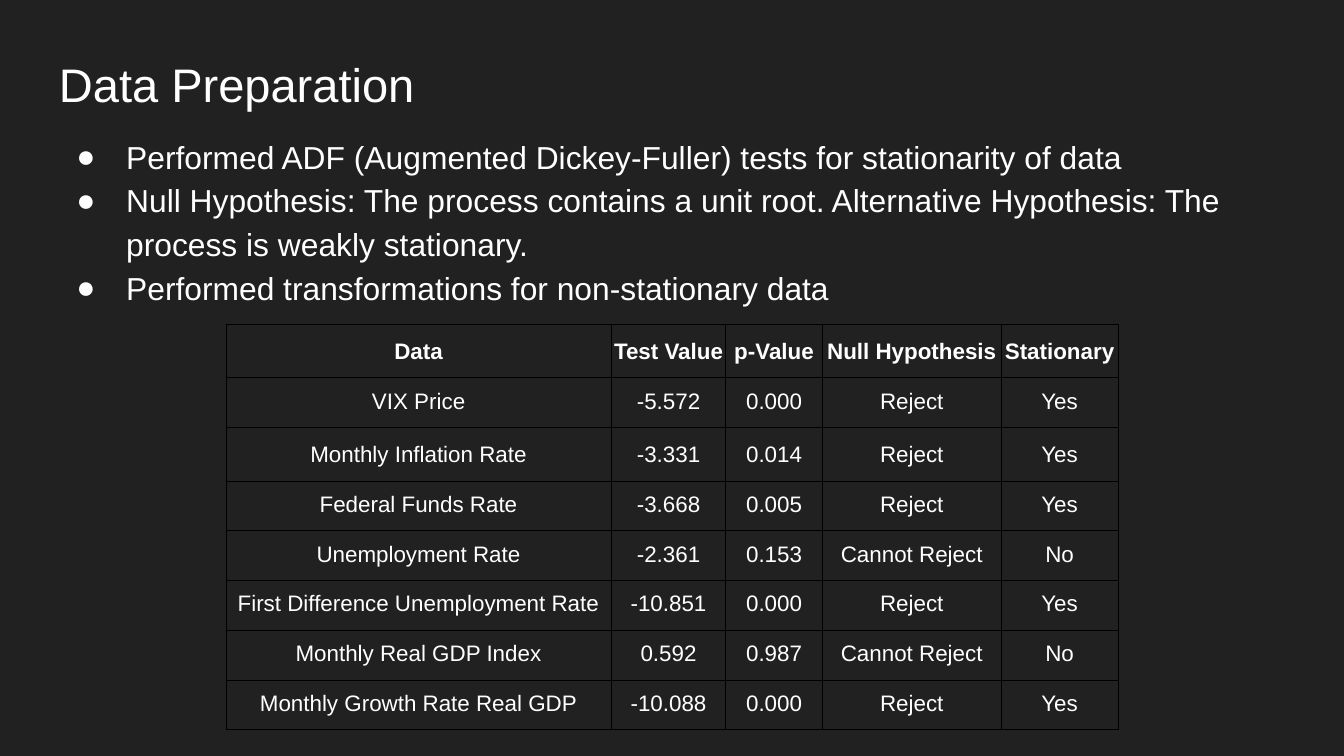
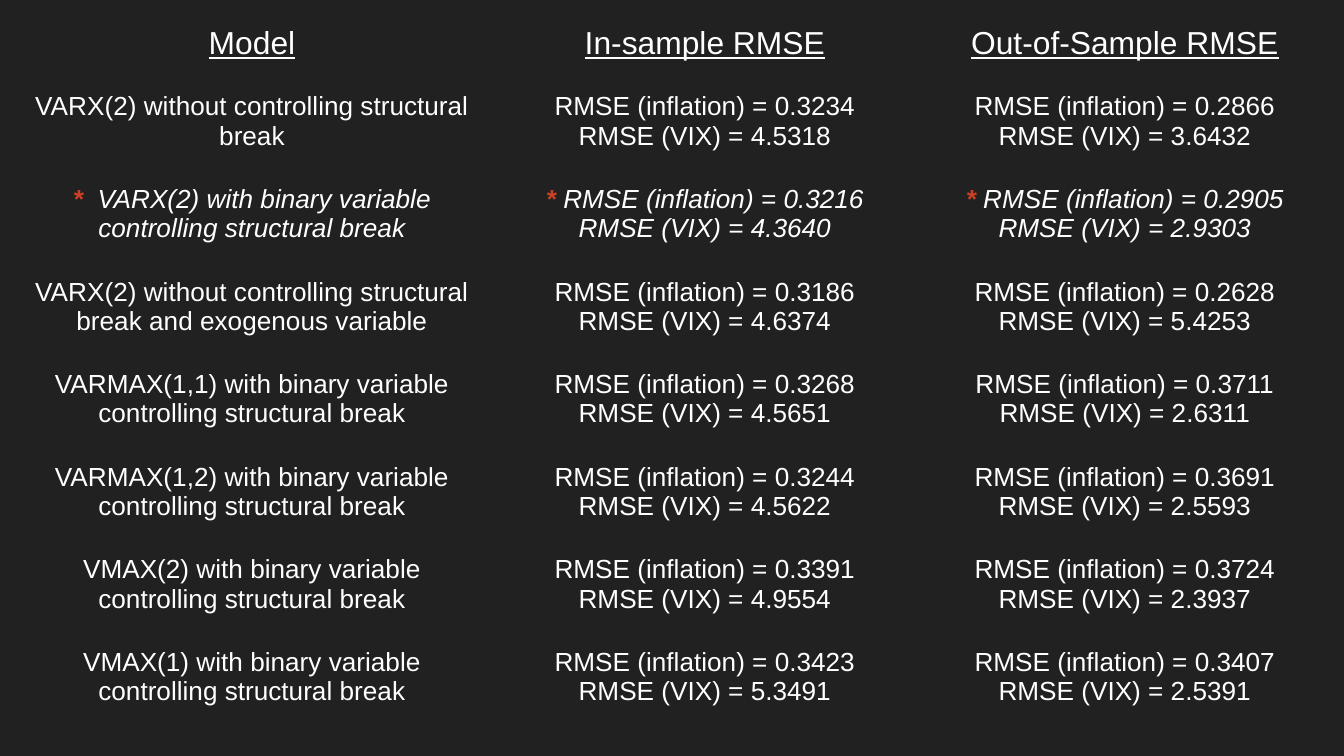
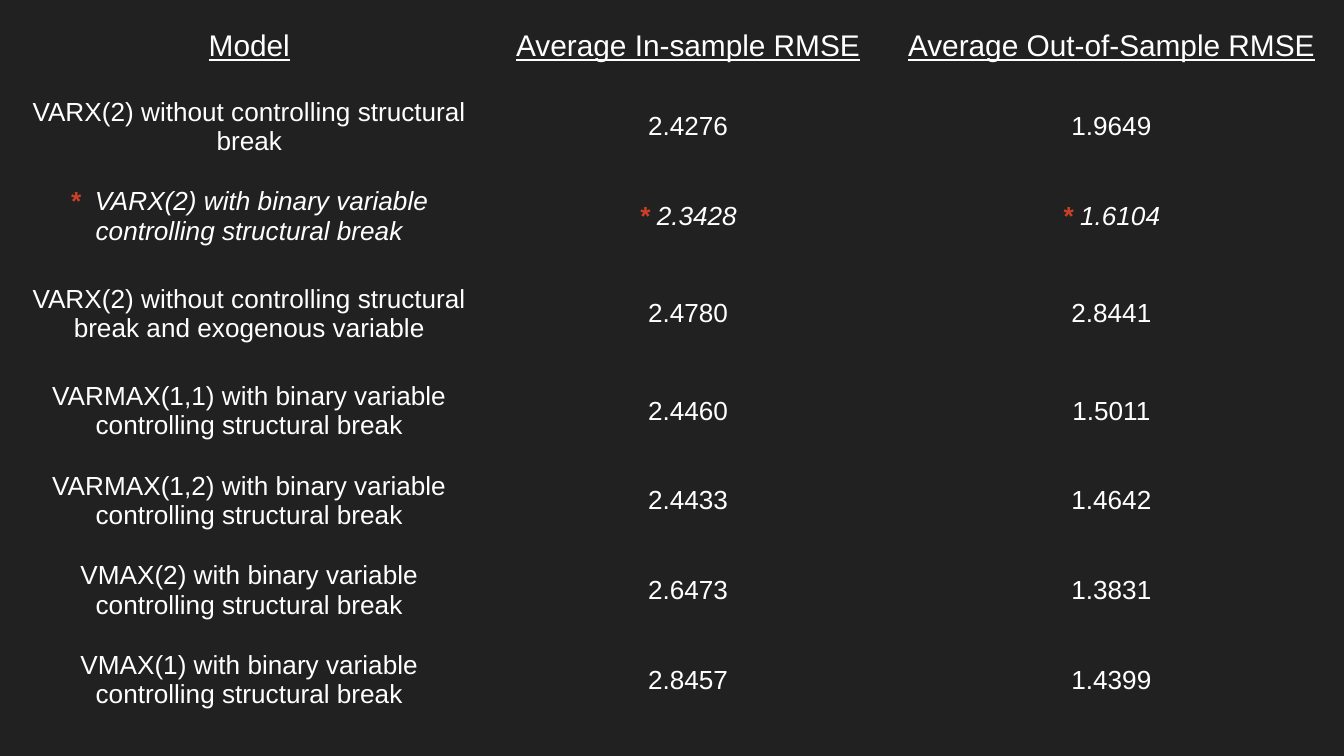
import pptx
import pptx.dml.color
import pptx.enum.text
import pptx.oxml.ns
import pptx.util
from lxml import etree
from pptx.util import Inches

COLORS = {"background": "212121", "text": "FFFFFF", "star": "CC4125", "grid": "000000"}
FONT = "Arial"
LINE_SPACING = 1.15
ALIGN = pptx.enum.text.PP_ALIGN
ANCHOR = pptx.enum.text.MSO_ANCHOR

BULLETS = [
    "Performed ADF (Augmented Dickey-Fuller) tests for stationarity of data",
    "Null Hypothesis: The process contains a unit root. Alternative Hypothesis: "
    "The process is weakly stationary.",
    "Performed transformations for non-stationary data",
]
ADF_TESTS = [
    ["Data", "Test Value", "p-Value", "Null Hypothesis", "Stationary"],
    ["VIX Price", "-5.572", "0.000", "Reject", "Yes"],
    ["Monthly Inflation Rate", "-3.331", "0.014", "Reject", "Yes"],
    ["Federal Funds Rate", "-3.668", "0.005", "Reject", "Yes"],
    ["Unemployment Rate", "-2.361", "0.153", "Cannot Reject", "No"],
    ["First Difference Unemployment Rate", "-10.851", "0.000", "Reject", "Yes"],
    ["Monthly Real GDP Index", "0.592", "0.987", "Cannot Reject", "No"],
    ["Monthly Growth Rate Real GDP", "-10.088", "0.000", "Reject", "Yes"],
]
BINARY = "with binary variable controlling structural break"
MODELS = [
    "VARX(2) without controlling structural break",
    f"VARX(2) {BINARY}",
    "VARX(2) without controlling structural break and exogenous variable",
    f"VARMAX(1,1) {BINARY}",
    f"VARMAX(1,2) {BINARY}",
    f"VMAX(2) {BINARY}",
    f"VMAX(1) {BINARY}",
]
BEST_ROW = 2
# Per model: in-sample inflation and VIX, then out-of-sample inflation and VIX
RMSE = [
    ("0.3234", "4.5318", "0.2866", "3.6432"),
    ("0.3216", "4.3640", "0.2905", "2.9303"),
    ("0.3186", "4.6374", "0.2628", "5.4253"),
    ("0.3268", "4.5651", "0.3711", "2.6311"),
    ("0.3244", "4.5622", "0.3691", "2.5593"),
    ("0.3391", "4.9554", "0.3724", "2.3937"),
    ("0.3423", "5.3491", "0.3407", "2.5391"),
]
AVERAGE_RMSE = [
    ("2.4276", "1.9649"),
    ("2.3428", "1.6104"),
    ("2.4780", "2.8441"),
    ("2.4460", "1.5011"),
    ("2.4433", "1.4642"),
    ("2.6473", "1.3831"),
    ("2.8457", "1.4399"),
]


def rgb(name):
    return pptx.dml.color.RGBColor.from_string(COLORS[name])


def add_page(deck):
    page = deck.slides.add_slide(deck.slide_layouts[6])
    page.background.fill.solid()
    page.background.fill.fore_color.rgb = rgb("background")
    return page


def style_span(span, size, color="text", bold=False, italic=False, underline=False):
    font = span.font
    font.name, font.size = FONT, pptx.util.Pt(size)
    font.color.rgb = rgb(color)
    font.bold, font.italic, font.underline = bold, italic, underline


def add_text(page, area, lines, size):
    box = page.shapes.add_textbox(*map(Inches, area))
    frame = box.text_frame
    frame.word_wrap = True
    frame.margin_left = frame.margin_right = Inches(0.1)
    frame.margin_top = frame.margin_bottom = Inches(0.1)
    frame.text = "\n".join(lines)
    for para in frame.paragraphs:
        style_span(para.runs[0], size)
    return frame


def add_bullets(frame):
    for para in frame.paragraphs:
        para.line_spacing = LINE_SPACING
        props = para._p.get_or_add_pPr()
        props.set("marL", str(Inches(0.5)))
        props.set("indent", str(Inches(-0.37)))
        color = etree.SubElement(props, pptx.oxml.ns.qn("a:buClr"))
        etree.SubElement(color, pptx.oxml.ns.qn("a:srgbClr"), val=COLORS["text"])
        etree.SubElement(props, pptx.oxml.ns.qn("a:buFont"), typeface=FONT)
        etree.SubElement(props, pptx.oxml.ns.qn("a:buChar"), char="●")


def draw_borders(cell, color, width):
    props = cell._tc.get_or_add_tcPr()
    for side in ("lnL", "lnR", "lnT", "lnB"):
        line = etree.SubElement(props, pptx.oxml.ns.qn(f"a:{side}"),
                                w=str(pptx.util.Pt(width)))
        fill = etree.SubElement(line, pptx.oxml.ns.qn("a:solidFill"))
        etree.SubElement(fill, pptx.oxml.ns.qn("a:srgbClr"), val=COLORS[color])


def add_grid(page, left, top, widths, heights, rows, border, margins, anchor):
    """Add a plain table and return it; margins run left, top, right, bottom."""
    table = page.shapes.add_table(
        len(rows), len(widths), Inches(left), Inches(top),
        Inches(sum(widths)), Inches(sum(heights))).table
    table.first_row = table.horz_banding = False
    for column, width in zip(table.columns, widths):
        column.width = Inches(width)
    for row, height, texts in zip(table.rows, heights, rows):
        row.height = Inches(height)
        for cell, text in zip(row.cells, texts):
            draw_borders(cell, *border)
            cell.fill.background()
            cell.vertical_anchor = anchor
            (cell.margin_left, cell.margin_top,
             cell.margin_right, cell.margin_bottom) = map(Inches, margins)
            cell.text_frame.text = text
            for para in cell.text_frame.paragraphs:
                para.alignment = ALIGN.CENTER
    return table


def add_adf_table(page):
    heights = [0.4, 0.37, 0.4] + [0.37] * 5
    table = add_grid(page, 1.68, 2.41, [2.87, 0.85, 0.72, 1.33, 0.87], heights,
                     ADF_TESTS, ("grid", 0.38), (0.01, 0.01, 0.01, 0.1), ANCHOR.BOTTOM)
    for number, row in enumerate(table.rows):
        for cell in row.cells:
            para = cell.text_frame.paragraphs[0]
            para.line_spacing = LINE_SPACING
            style_span(para.runs[0], 12, bold=number == 0)


def mark_best(cell, star):
    """Put a red star before the first line of a cell."""
    para = cell.text_frame.paragraphs[0]
    text = para.text
    para.text = star
    style_span(para.runs[0], 14, "star", bold=True, italic=True)
    span = para.add_run()
    span.text = text
    style_span(span, 14, italic=True)


def add_model_table(page, left, widths, heights, header, results, header_size):
    rows = [header] + [[model, *values] for model, values in zip(MODELS, results)]
    table = add_grid(page, left, 0.08, widths, heights, rows,
                     ("background", 0.75), (0.1,) * 4, ANCHOR.MIDDLE)
    for number, row in enumerate(table.rows):
        for cell in row.cells:
            for para in cell.text_frame.paragraphs:
                style_span(para.runs[0], 14 if number else header_size,
                           italic=number == BEST_ROW, underline=number == 0)
    for column, cell in enumerate(table.rows[BEST_ROW].cells):
        mark_best(cell, "* " if column else "*  ")


def rmse_text(inflation, vix):
    return f"RMSE (inflation) = {inflation}\nRMSE (VIX) = {vix}"


def main():
    # Widescreen, 16 by 9
    deck = pptx.Presentation()
    deck.slide_width, deck.slide_height = Inches(10), Inches(10 * 9 / 16)

    # Data preparation
    page = add_page(deck)
    add_text(page, (0.34, 0.31, 9.32, 0.63), ["Data Preparation"], 25.2)
    add_bullets(add_text(page, (0.34, 0.88, 9.32, 4.12), BULLETS, 17))
    add_adf_table(page)

    # RMSE by variable
    results = [(rmse_text(*row[:2]), rmse_text(*row[2:])) for row in RMSE]
    add_model_table(add_page(deck), 0.07, [3.61, 3.13, 3.12],
                    [0.33, 0.68, 0.7, 0.68] + [0.69] * 4,
                    ["Model", "In-sample RMSE", "Out-of-Sample RMSE"], results, 17)

    # Average RMSE
    add_model_table(add_page(deck), 0.1, [3.51, 3.02, 3.28],
                    [0.53, 0.66, 0.66, 0.78] + [0.66] * 4,
                    ["Model", "Average In-sample RMSE", "Average Out-of-Sample RMSE"],
                    AVERAGE_RMSE, 16)

    deck.save("out.pptx")


if __name__ == "__main__":
    main()
